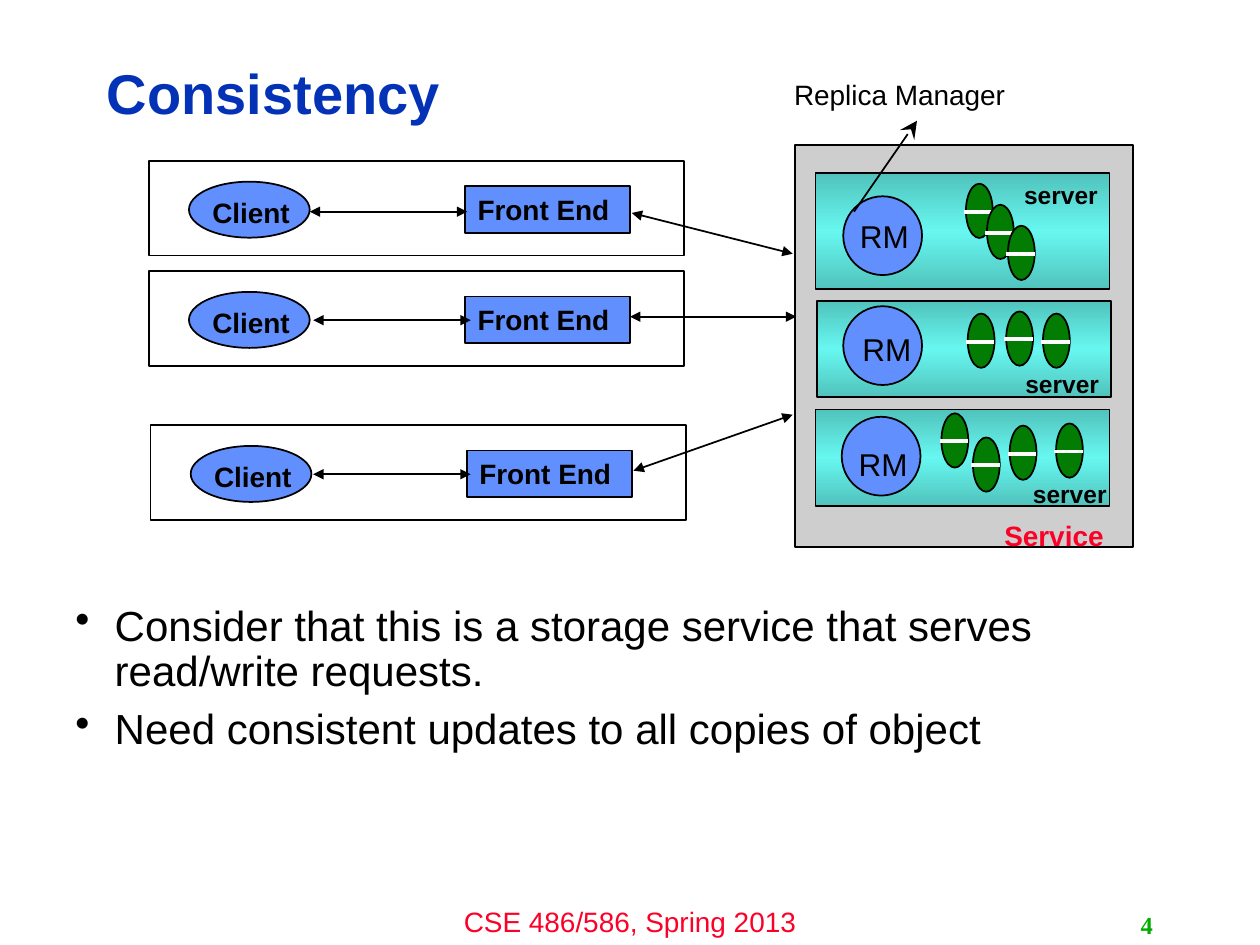
import copy
import pptx
import pptx.util
import pptx.dml.color
import pptx.enum.shapes
import pptx.enum.text
import pptx.oxml.ns
from lxml import etree

Pt = pptx.util.Pt
qn = pptx.oxml.ns.qn
SHAPE = pptx.enum.shapes.MSO_SHAPE
ALIGN = pptx.enum.text.PP_ALIGN
ANCHOR = pptx.enum.text.MSO_ANCHOR
BLACK, WHITE, BLUE, GREEN, RED = "000000", "FFFFFF", "618FFD", "037C03", "FC0128"


def rgb(value):
    return pptx.dml.color.RGBColor.from_string(value)


class Canvas:
    font = "Arial"
    line_width = 1

    def __init__(self, slide):
        self.slide = slide

    def label(self, sp, paras, size, color=BLACK, bold=False, font=None,
              wrap=True, anchor=ANCHOR.TOP, bullet=None, **fmt):
        tf = sp.text_frame
        tf.word_wrap, tf.vertical_anchor = wrap, anchor
        for i, text in enumerate(paras):
            p = tf.add_paragraph() if i else tf.paragraphs[0]
            for name, value in {"alignment": ALIGN.LEFT, **fmt}.items():
                setattr(p, name, value)
            r = p.add_run()
            r.text = text
            for name, value in {"size": Pt(size), "bold": bold,
                                "name": font or self.font}.items():
                setattr(r.font, name, value)
            r.font.color.rgb = rgb(color)
            if bullet:
                pPr = p._p.get_or_add_pPr()
                pPr.set("marL", str(Pt(22.5)))
                pPr.set("indent", str(-Pt(22.5)))
                etree.SubElement(pPr, qn("a:buChar"), char=bullet)

    def text(self, x, y, w, h, *paras, **style):
        sp = self.slide.shapes.add_textbox(Pt(x), Pt(y), Pt(w), Pt(h))
        self.label(sp, paras, **style)

    def shape(self, kind, x, y, w, h, fill=None, parent=None):
        shapes = (parent or self.slide).shapes
        sp = shapes.add_shape(kind, Pt(x), Pt(y), Pt(w), Pt(h))
        sp.shadow.inherit = False
        if fill:
            sp.fill.solid()
            sp.fill.fore_color.rgb = rgb(fill)
        else:
            sp.fill.background()
        sp.line.color.rgb = rgb(BLACK)
        sp.line.width = Pt(self.line_width)
        return sp

    def gradient_box(self, x, y, w, h, edge, middle):
        sp = self.shape(SHAPE.RECTANGLE, x, y, w, h)
        sp.fill.gradient()
        sp.fill.gradient_angle = 90
        first, second = sp.fill.gradient_stops
        first.color.rgb, second.color.rgb = rgb(edge), rgb(middle)
        first.position, second.position = 0, 0.5
        stops = sp._element.spPr.find(".//" + qn("a:gsLst"))
        last = copy.deepcopy(stops[0])
        last.set("pos", "100000")
        stops.append(last)

    def line(self, x1, y1, x2, y2, color=BLACK, width=1, head=None, tail=None,
             size="med", parent=None):
        shapes = (parent or self.slide).shapes
        cn = shapes.add_connector(pptx.enum.shapes.MSO_CONNECTOR.STRAIGHT,
                                  Pt(x1), Pt(y1), Pt(x2), Pt(y2))
        cn.line.color.rgb = rgb(color)
        cn.line.width = Pt(width)
        ln = cn._element.spPr.find(qn("a:ln"))
        for tag, kind in (("a:headEnd", head), ("a:tailEnd", tail)):
            if kind:
                etree.SubElement(ln, qn(tag), type=kind, w=size, len=size)
        etree.SubElement(cn._element.spPr, qn("a:effectLst"))

    def disk(self, x, y):
        group = self.slide.shapes.add_group_shape()
        self.shape(SHAPE.OVAL, x, y, 15.3, 31, GREEN, group)
        self.line(x - 1, y + 16, x + 15.2, y + 16, WHITE, 2.25, parent=group)

    def client_row(self, x, y):
        self.shape(SHAPE.RECTANGLE, x, y, 306, 54)
        self.shape(SHAPE.OVAL, x + 23, y + 11.8, 69, 32, BLUE)
        self.text(x + 24, y + 16, 69, 26.6, "Client", size=16, bold=True,
                  alignment=ALIGN.CENTER)
        sp = self.shape(SHAPE.RECTANGLE, x + 180.8, y + 14.4, 94.3, 26.6, BLUE)
        self.label(sp, ["Front End"], size=16, bold=True)


prs = pptx.Presentation()
prs.slide_width, prs.slide_height = Pt(720), Pt(540)
s = Canvas(prs.slides.add_slide(prs.slide_layouts[6]))

# Title and footer
s.text(54, 26, 574.6, 58.3, "Consistency", size=32, color="0332B7", bold=True,
       anchor=ANCHOR.MIDDLE, line_spacing=0.9)
s.text(240, 513.4, 240, 26.6, "CSE 486/586, Spring 2013", size=16, color=RED,
       alignment=ALIGN.CENTER)
s.text(516, 517, 150, 23, "4", size=14, color="00AE00", bold=True,
       font="Times New Roman", anchor=ANCHOR.MIDDLE, wrap=False,
       alignment=ALIGN.RIGHT)

# Service panel
s.shape(SHAPE.RECTANGLE, 454.3, 82.8, 193, 230, "CECECE")
s.text(563.8, 293, 77, 24.5, "Service", size=16, color=RED, bold=True,
       alignment=ALIGN.CENTER)

# Servers: box, manager circle, manager label, server label, disks
servers = [
    ((466, 99, 66.3), (481.9, 112.2), (478.8, 120.4), (575.3, 99.4),
     [(552, 105), (564, 117), (576, 129)]),
    ((467, 172, 55), (481.9, 175), (480.2, 185.2), (576, 207.4),
     [(553, 179.2), (575, 178), (596, 179.2)]),
    ((466, 234, 55), (481, 238.2), (478.1, 251), (580.3, 270.3),
     [(538, 236.2), (556, 250), (577, 243.2), (603.5, 242)]),
]
for (x, y, h), circle, manager, label, disks in servers:
    s.gradient_box(x, y, 168, h, "51C3BD", "67F7F0")
    s.shape(SHAPE.OVAL, *circle, 45, 45, BLUE)
    s.text(*manager, 53.3, 26.6, "RM", size=18, alignment=ALIGN.CENTER)
    for disk in disks:
        s.disk(*disk)
    s.text(*label, 62, 24.5, "server", size=14, bold=True,
           alignment=ALIGN.CENTER)

# Clients with their front ends
for x, y in [(85, 92), (85, 155), (86, 243)]:
    s.client_row(x, y)

# Two-way arrows: client to front end, front end to service
for ends in [(177, 121, 267, 121), (179, 183, 269, 183), (179, 271, 269, 271),
             (361, 121.7, 453, 145), (360, 181, 455, 181),
             (362, 269, 453, 237)]:
    s.line(*ends, head="triangle", tail="triangle")

# Replica manager callout
s.text(445.7, 41, 136.8, 26.6, "Replica Manager", size=16, wrap=False,
       alignment=ALIGN.CENTER)
s.line(488, 121, 524, 69, tail="stealth", size="lg")

# Points
s.text(36, 342, 648, 162,
       "Consider that this is a storage service that serves read/write requests.",
       "Need consistent updates to all copies of object",
       size=24, bullet="\u2022", line_spacing=0.9, space_before=Pt(7.2))

prs.save("out.pptx")
